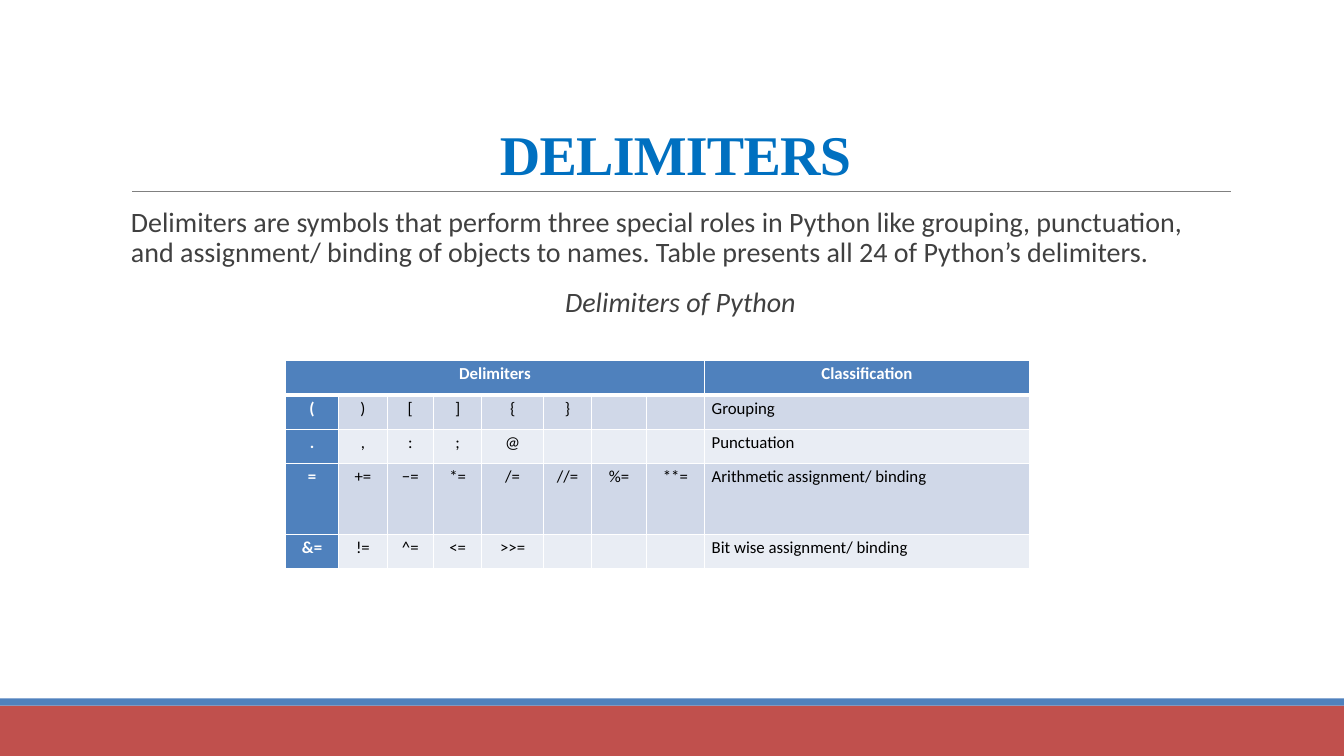
import pptx
import pptx.util
import pptx.dml.color
import pptx.enum.shapes
import pptx.enum.text
import pptx.oxml.ns
from lxml import etree

Inches, Pt = pptx.util.Inches, pptx.util.Pt
RGB = pptx.dml.color.RGBColor.from_string
ALIGN = pptx.enum.text.PP_ALIGN
qn = pptx.oxml.ns.qn

COLORS = {
    "red": "C0504D", "blue": "4F81BD", "rule": "808080", "title": "0070C0",
    "body": "404040", "white": "FFFFFF", "black": "000000",
    "odd_row": "D0D8E8", "even_row": "E9EDF4",
}


def add_run(p, text, size, color, font="Calibri", bold=False, italic=False):
    r = p.add_run()
    r.text = text
    r.font.size = Pt(size)
    r.font.name = font
    r.font.bold = bold
    r.font.italic = italic
    r.font.color.rgb = RGB(COLORS[color])
    return r


def style_cell(cell, fill, bottom):
    """Set the fill, insets and white borders; bottom is that border's width in points."""
    cell.margin_left = cell.margin_right = Inches(0.07)
    cell.margin_top = cell.margin_bottom = 0
    tc_pr = cell._tc.get_or_add_tcPr()
    for side, width in (("L", 1), ("R", 1), ("T", 1), ("B", bottom)):
        ln = etree.SubElement(tc_pr, qn(f"a:ln{side}"), w=str(Pt(width)))
        line_fill = etree.SubElement(ln, qn("a:solidFill"))
        etree.SubElement(line_fill, qn("a:srgbClr"), val=COLORS["white"])
    cell.fill.solid()
    cell.fill.fore_color.rgb = RGB(COLORS[fill])


prs = pptx.Presentation()
prs.slide_width, prs.slide_height = Inches(13.33), Inches(7.5)
s = prs.slides.add_slide(prs.slide_layouts[6])

# Footer bands and title rule
for top, height, color in ((7, 0.5, "red"), (6.93, 0.07, "blue")):
    band = s.shapes.add_shape(pptx.enum.shapes.MSO_SHAPE.RECTANGLE,
                              0, Inches(top), prs.slide_width, Inches(height))
    band.shadow.inherit = False
    band.fill.solid()
    band.fill.fore_color.rgb = RGB(COLORS[color])
    band.line.fill.background()

rule = s.shapes.add_connector(pptx.enum.shapes.MSO_CONNECTOR.STRAIGHT,
                              Inches(1.31), Inches(1.9), Inches(12.21), Inches(1.9))
rule.line.color.rgb = RGB(COLORS["rule"])
rule.line.width = Pt(0.5)
etree.SubElement(rule._element.spPr, qn("a:effectLst"))

# Title
tf = s.shapes.add_textbox(Inches(1.2), Inches(0.31), Inches(11), Inches(1.59)).text_frame
tf.word_wrap = True
tf.vertical_anchor = pptx.enum.text.MSO_ANCHOR.BOTTOM
p = tf.paragraphs[0]
p.alignment = ALIGN.CENTER
p.line_spacing = 0.85
r = add_run(p, "DELIMITERS", 40, "title", font="Times New Roman", bold=True)
r.font._element.set("spc", "-50")

# Introduction and table caption
tf = s.shapes.add_textbox(Inches(1.2), Inches(2.02), Inches(11), Inches(4.4)).text_frame
tf.word_wrap = True
tf.margin_right = 0
intro = tf.paragraphs[0]
add_run(intro, "Delimiters are symbols that perform three special roles in Python like "
        "grouping, punctuation, and assignment/ binding of objects to names. "
        "Table presents all 24 of Python’s delimiters.", 20, "body")
caption = tf.add_paragraph()
caption.alignment = ALIGN.CENTER
caption.space_before = Pt(12)
add_run(caption, "Delimiters of Python", 20, "body", italic=True)
for p in (intro, caption):
    p.line_spacing = 0.9
    p.space_after = Pt(2)

# Delimiter table
col_widths = [0.53, 0.48, 0.46, 0.48, 0.61, 0.48, 0.54, 0.58, 3.22]
row_heights = [0.34, 0.34, 0.34, 0.7, 0.34]
groups = [
    ("Delimiters", "Classification"),
    ("( ) [ ] { }", "Grouping"),
    (". , : ; @", "Punctuation"),
    ("= += −= *= /= //= %= **=", "Arithmetic assignment/ binding"),
    ("&= != ^= <= >>=", "Bit wise assignment/ binding"),
]
last = len(col_widths) - 1
table = s.shapes.add_table(len(groups), len(col_widths), Inches(2.83), Inches(3.58),
                           Inches(7.37), Inches(2.04)).table
for col, width in zip(table.columns, col_widths):
    col.width = Inches(width)
for row, height in zip(table.rows, row_heights):
    row.height = Inches(height)
table.cell(0, 0).merge(table.cell(0, last - 1))

for i, (symbols, classification) in enumerate(groups):
    texts = dict(enumerate(symbols.split()))
    texts[last] = classification
    for j in range(last + 1):
        cell = table.cell(i, j)
        heading = i == 0 or j == 0
        fill = "blue" if heading else "odd_row" if i % 2 else "even_row"
        style_cell(cell, fill, bottom=3 if i == 0 else 1)
        if j in texts:
            p = cell.text_frame.paragraphs[0]
            p.alignment = ALIGN.JUSTIFY if i and j == last else ALIGN.CENTER
            p.line_spacing = 1.15
            add_run(p, texts[j], 12, "white" if heading else "black", bold=heading)

prs.save("out.pptx")
